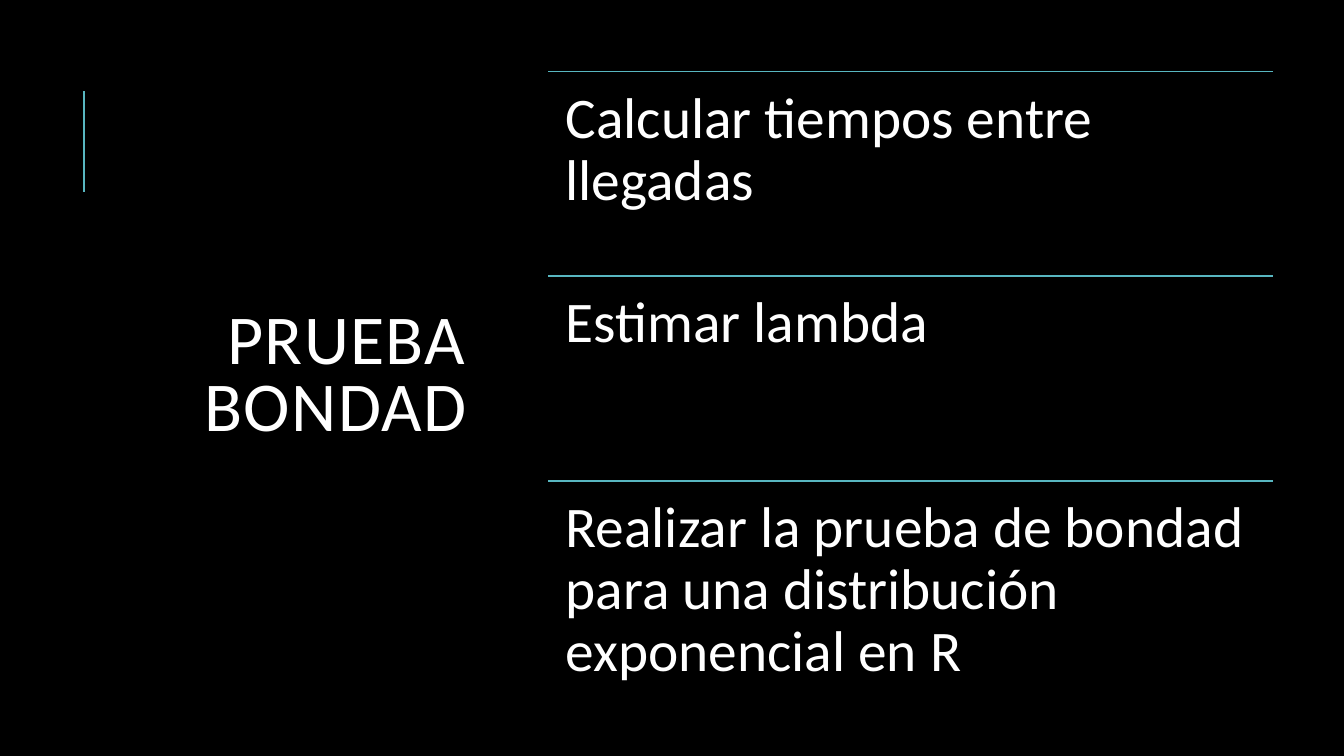
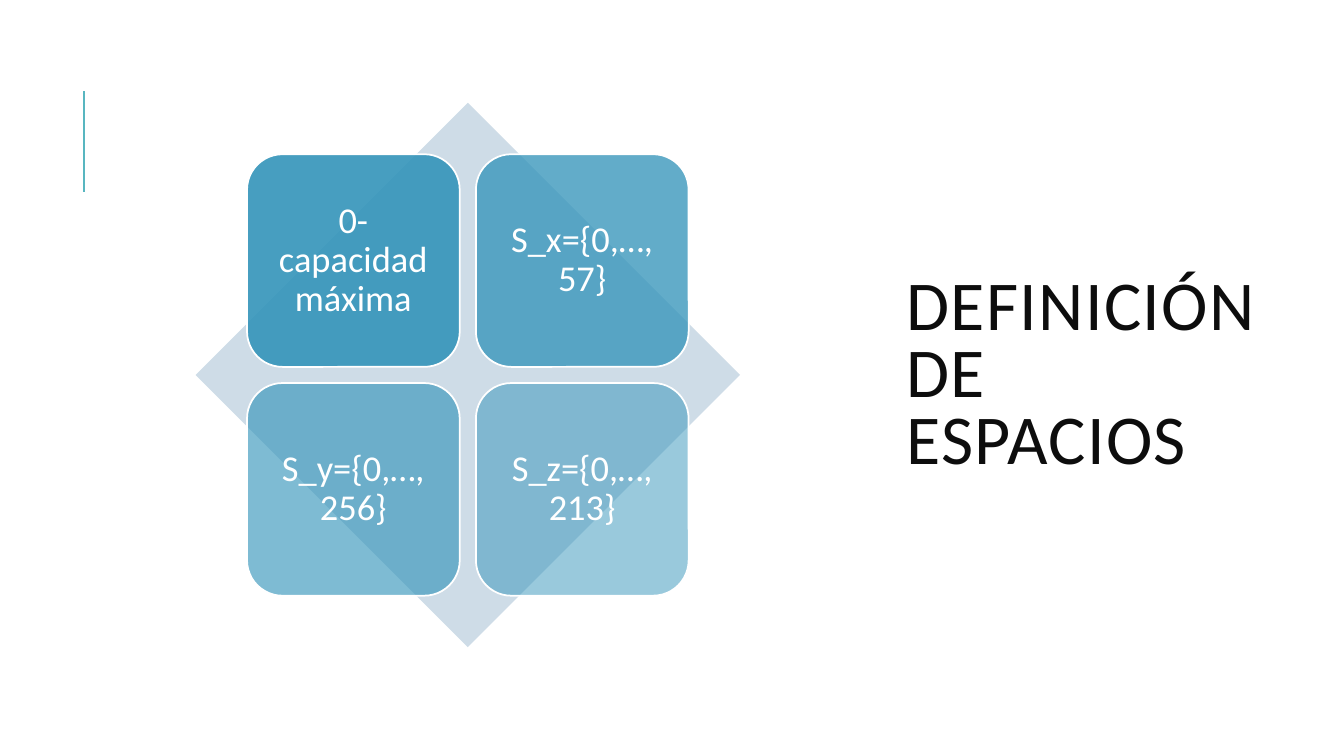
from lxml import etree
from pptx import Presentation
from pptx.dml.color import RGBColor
from pptx.enum.shapes import MSO_CONNECTOR, MSO_SHAPE
from pptx.enum.text import MSO_ANCHOR, PP_ALIGN
from pptx.oxml.ns import qn
from pptx.util import Pt

STRAIGHT = MSO_CONNECTOR.STRAIGHT
DIAMOND, ROUNDED = MSO_SHAPE.DIAMOND, MSO_SHAPE.ROUNDED_RECTANGLE
TOP, MIDDLE = MSO_ANCHOR.TOP, MSO_ANCHOR.MIDDLE
LEFT, CENTER, RIGHT = PP_ALIGN.LEFT, PP_ALIGN.CENTER, PP_ALIGN.RIGHT

BLACK = RGBColor(0x00, 0x00, 0x00)
WHITE = RGBColor(0xFF, 0xFF, 0xFF)
INK = RGBColor(0x0D, 0x0D, 0x0D)
TEAL = RGBColor(0x58, 0xB6, 0xC0)
BLUE = RGBColor(0x34, 0x94, 0xBA)
PALE_BLUE = RGBColor(0xCE, 0xDC, 0xE7)

EMU_PER_PX = 9144  # 100 px to the inch


def px(length):
    return length * EMU_PER_PX


class Deck:
    """Holds the shared style and the slide being built."""

    font_name = "Calibri"
    line_color = TEAL
    border_width = 1.25

    def __init__(self):
        self.presentation = Presentation()
        self.presentation.slide_width = px(1333)
        self.presentation.slide_height = px(750)
        self.slide = None

    def new_slide(self, background):
        self.slide = self.presentation.slides.add_slide(self.presentation.slide_layouts[6])
        fill = self.slide.background.fill
        fill.solid()
        fill.fore_color.rgb = background
        self.line((83, 190), (83, 90), 1.5)

    def line(self, start, end, width=border_width):
        connector = self.slide.shapes.add_connector(STRAIGHT, *map(px, start + end))
        connector.line.color.rgb = self.line_color
        connector.line.width = Pt(width)
        etree.SubElement(connector._element.spPr, qn("a:effectLst"))

    def set_text(self, shape, text, size, color, align=LEFT, anchor=TOP,
                 spacing=0.9, insets=(10, 5), tracking=0):
        frame = shape.text_frame
        side, edge = map(px, insets)
        frame_format = {"word_wrap": True, "vertical_anchor": anchor,
                        "margin_left": side, "margin_right": side,
                        "margin_top": edge, "margin_bottom": edge}
        paragraph = frame.paragraphs[0]
        run = paragraph.add_run()
        run.text = text
        run.font.color.rgb = color
        for target, values in (
            (frame, frame_format),
            (paragraph, {"alignment": align, "line_spacing": spacing}),
            (run.font, {"name": self.font_name, "size": Pt(size)}),
        ):
            for name, value in values.items():
                setattr(target, name, value)
        if tracking:
            run._r.get_or_add_rPr().set("spc", str(tracking * 100))

    def text(self, box, text, size, color, **text_format):
        shape = self.slide.shapes.add_textbox(*map(px, box))
        self.set_text(shape, text, size, color, **text_format)

    def title(self, left, width, text, color, align=LEFT):
        self.text((left, 70, width, 609), text, 50, color, align=align,
                  anchor=MIDDLE, spacing=0.8, tracking=1)

    def shape(self, kind, box, color, opacity=100, border=None):
        shape = self.slide.shapes.add_shape(kind, *map(px, box))
        shape.shadow.inherit = False
        shape.fill.solid()
        shape.fill.fore_color.rgb = color
        if opacity < 100:
            solid_color = shape._element.spPr.find(qn("a:solidFill"))[0]
            etree.SubElement(solid_color, qn("a:alpha")).set("val", str(opacity * 1000))
        if border is None:
            shape.line.fill.background()
        else:
            shape.line.color.rgb = border
            shape.line.width = Pt(self.border_width)
        return shape

    def card(self, box, text, opacity):
        card = self.shape(ROUNDED, box, BLUE, opacity, WHITE)
        self.set_text(card, text, 26, WHITE, align=CENTER, anchor=MIDDLE, insets=(11, 11))


def build_steps(deck):
    deck.new_slide(BLACK)
    deck.title(70, 403, "PRUEBA BONDAD", WHITE, RIGHT)

    # Ruled list of steps
    left, top, width, row_height = 544, 71, 719, 203
    steps = ("Calcular tiempos entre llegadas",
             "Estimar lambda",
             "Realizar la prueba de bondad para una distribución exponencial en R")
    for row, step in enumerate(steps):
        y = top + row * row_height
        deck.line((left, y), (left + width, y))
        deck.text((left, y, width, row_height), step, 41, WHITE, insets=(17, 17))


def build_spaces(deck):
    deck.new_slide(WHITE)
    deck.title(889, 380, "DEFINICIÓN DE ESPACIOS", INK)

    # Two by two cards over a diamond, each fainter than the one before
    deck.shape(DIAMOND, (194, 102, 540, 540), PALE_BLUE)
    left, top, side, pitch = 245, 153, 211, 227
    spaces = ("0-capacidad máxima", "S_x={0,…, 57}", "S_y={0,…, 256}", "S_z={0,…, 213}")
    for index, space in enumerate(spaces):
        row, column = divmod(index, 2)
        opacity = round(90 - 40 * index / 3)
        deck.card((left + column * pitch, top + row * pitch, side, side), space, opacity)


def main():
    deck = Deck()
    build_steps(deck)
    build_spaces(deck)
    deck.presentation.save("out.pptx")


if __name__ == "__main__":
    main()
